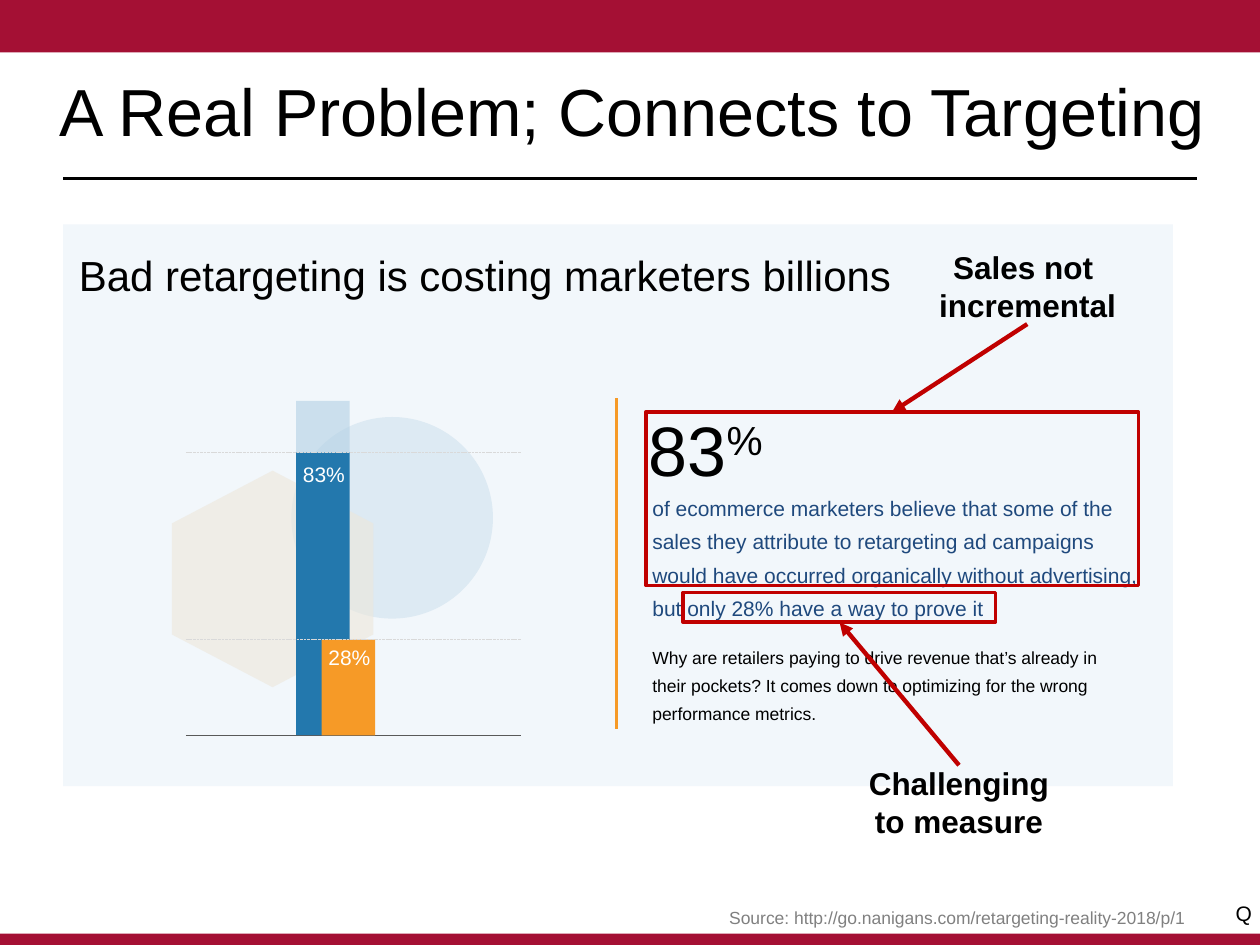
"""Build the slide on retargeting costs, with its bar graphic and callouts."""
from dataclasses import dataclass

from lxml.etree import SubElement
from pptx import Presentation
from pptx.dml.color import RGBColor
from pptx.enum.dml import MSO_LINE
from pptx.enum.shapes import MSO_CONNECTOR, MSO_SHAPE
from pptx.enum.text import MSO_ANCHOR, PP_ALIGN
from pptx.oxml.ns import qn
from pptx.util import Pt


@dataclass(frozen=True)
class Theme:
    font: str = "Arial"
    ink: str = "000000"
    white: str = "FFFFFF"
    crimson: str = "A41034"
    panel: str = "F2F7FB"
    blue: str = "2378AD"
    pale_blue: str = "B2D0E4"
    disc: str = "DDEAF3"
    sand: str = "EDE7DB"
    orange: str = "F69A27"
    navy: str = "1F497D"
    red: str = "C00000"
    guide: str = "D9D9D9"
    axis: str = "595959"
    grey: str = "808080"
    title: int = 38
    figure: int = 40
    heading: int = 24
    callout: int = 18
    body: int = 12
    small: int = 10


THEME = Theme()


def add_block(slide, box, fill=None, outline=None, kind=MSO_SHAPE.RECTANGLE, opacity=None):
    block = slide.shapes.add_shape(kind, *map(Pt, box))
    block.shadow.inherit = False
    if fill:
        block.fill.solid()
        block.fill.fore_color.rgb = RGBColor.from_string(fill)
    else:
        block.fill.background()
    if outline:
        block.line.color.rgb = RGBColor.from_string(outline)
        block.line.width = Pt(2)
    else:
        block.line.fill.background()
    if opacity:
        color = block.fill._xPr.find(qn("a:solidFill"))[0]
        SubElement(color, qn("a:alpha"), val=str(opacity * 1000))
    return block


def add_line(slide, start, end, color, width, dash=None, arrow=False):
    line = slide.shapes.add_connector(MSO_CONNECTOR.STRAIGHT, *map(Pt, start + end))
    line.line.color.rgb = RGBColor.from_string(color)
    line.line.width = Pt(width)
    if dash:
        line.line.dash_style = dash
    if arrow:
        SubElement(line.line._get_or_add_ln(), qn("a:tailEnd"), type="triangle")
    SubElement(line._element.spPr, qn("a:effectLst"))


def add_text(slide, box, lines, size, color=THEME.ink, align=PP_ALIGN.LEFT,
             anchor=MSO_ANCHOR.MIDDLE, inset=True, spacing=None, bold=False):
    frame = slide.shapes.add_textbox(*map(Pt, box)).text_frame
    frame.word_wrap = False
    frame.vertical_anchor = anchor
    if not inset:
        frame.margin_left = frame.margin_right = frame.margin_top = frame.margin_bottom = 0
    frame.text = lines
    for paragraph in frame.paragraphs:
        paragraph.alignment = align
        if spacing:
            paragraph.line_spacing = Pt(spacing)
        for run in paragraph.runs:
            format_run(run, size, color, bold)
    return frame


def format_run(run, size, color, bold=False):
    run.font.name = THEME.font
    run.font.size = Pt(size)
    run.font.bold = bold
    run.font.color.rgb = RGBColor.from_string(color)


def add_frame(slide):
    add_block(slide, (0, 0, 720, 30), THEME.crimson)
    add_block(slide, (0, 533.5, 720, 7.2), THEME.crimson)
    add_line(slide, (36, 102), (684, 102), THEME.ink, 1.25)
    add_text(slide, (26, 18, 671, 90), "A Real Problem; Connects to Targeting",
             THEME.title, align=PP_ALIGN.CENTER)
    add_text(slide, (36, 512, 648, 21.6),
             "Source: http://go.nanigans.com/retargeting-reality-2018/p/1",
             THEME.small, THEME.grey, PP_ALIGN.RIGHT, MSO_ANCHOR.BOTTOM)
    add_text(slide, (699, 511.2, 24, 21.6), "Q", THEME.body, anchor=MSO_ANCHOR.TOP)


def add_bars(slide):
    left, right, base, believe_top, prove_top = 106.2, 297.8, 420.2, 258.5, 365.5
    bar_width, believe_left, prove_left = 30.6, 169.2, 183.8
    add_block(slide, (166.5, 238.3, 115.2, 115.2), THEME.disc, kind=MSO_SHAPE.OVAL)
    add_line(slide, (left, base), (right, base), THEME.axis, 0.5)
    hexagon = add_block(slide, (93.9, 273.2, 123.8, 115.2), THEME.sand,
                        kind=MSO_SHAPE.HEXAGON, opacity=60)
    hexagon.rotation = 270
    hexagon.adjustments[0] = 0.262
    add_block(slide, (believe_left, believe_top, bar_width, base - believe_top), THEME.blue)
    add_block(slide, (believe_left, 229, bar_width, believe_top - 229),
              THEME.pale_blue, opacity=60)
    add_block(slide, (prove_left, prove_top, bar_width, base - prove_top), THEME.orange)
    for share, bar_left, y in (("83%", believe_left, 265), ("28%", prove_left, 369.4)):
        add_text(slide, (bar_left + 0.6, y, bar_width, 12.2), share, THEME.body,
                 THEME.white, PP_ALIGN.CENTER, inset=False)
    for level in (believe_top, prove_top):
        add_line(slide, (left, level), (right, level), THEME.guide, 0.5, MSO_LINE.SQUARE_DOT)


def add_findings(slide):
    add_text(slide, (45, 146.2, 471.6, 21.6),
             "Bad retargeting is costing marketers billions", THEME.heading, inset=False)
    add_line(slide, (352.2, 227.5), (352.2, 416.5), THEME.orange, 1.5)
    figure = add_text(slide, (370.8, 236.9, 74.9, 38.9), "83", THEME.figure, inset=False)
    percent = figure.paragraphs[0].add_run()
    percent.text = "%"
    format_run(percent, THEME.figure, THEME.ink)
    percent.font._element.set("baseline", "30000")
    add_text(slide, (372.8, 278.7, 285, 65),
             "of ecommerce marketers believe that some of the\n"
             "sales they attribute to retargeting ad campaigns\n"
             "would have occurred organically without advertising,\n"
             "but only 28% have a way to prove it",
             THEME.body, THEME.navy, anchor=MSO_ANCHOR.TOP, inset=False, spacing=19)
    add_text(slide, (372.8, 365.8, 285, 65),
             "Why are retailers paying to drive revenue that’s already in\n"
             "their pockets? It comes down to optimizing for the wrong\n"
             "performance metrics.",
             THEME.small, anchor=MSO_ANCHOR.TOP, inset=False, spacing=16)


def add_callout(slide, remark, remark_box, target_box, start, end):
    add_block(slide, target_box, outline=THEME.red)
    add_line(slide, start, end, THEME.red, 2.5, arrow=True)
    add_text(slide, remark_box, remark, THEME.callout, align=PP_ALIGN.CENTER, bold=True)


def main():
    deck = Presentation()
    deck.slide_width, deck.slide_height = Pt(720), Pt(540)
    slide = deck.slides.add_slide(deck.slide_layouts[6])
    add_frame(slide)
    add_block(slide, (36, 128.2, 634.3, 321.1), THEME.panel)
    add_bars(slide)
    add_findings(slide)
    add_callout(slide, "Sales not \vincremental", (514.5, 141.5, 145.4, 44),
                (369, 235.4, 281.5, 99.2), (587, 185.2), (509.8, 235.4))
    add_callout(slide, "Challenging\vto measure", (481.5, 437.3, 133, 41.8),
                (390.2, 338.6, 178.8, 16.8), (548, 437.3), (479.8, 355.7))
    deck.save("out.pptx")


if __name__ == "__main__":
    main()
